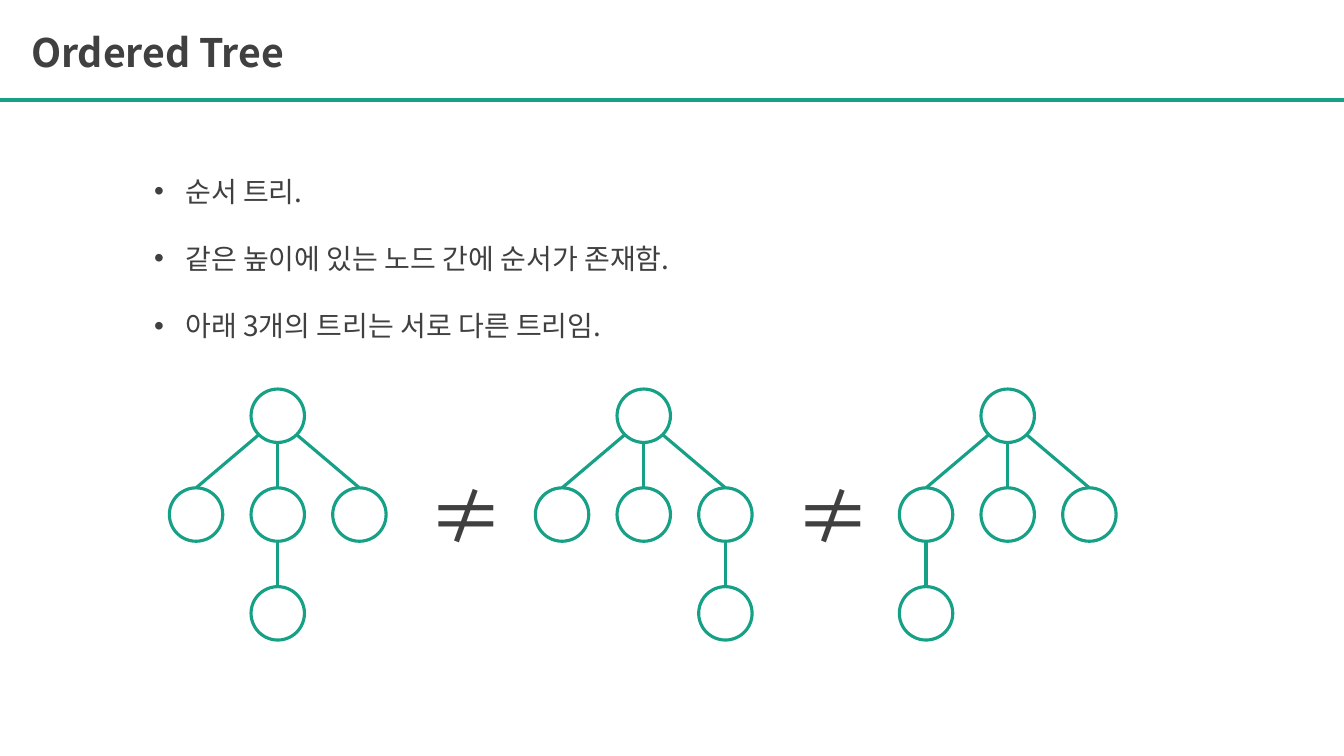
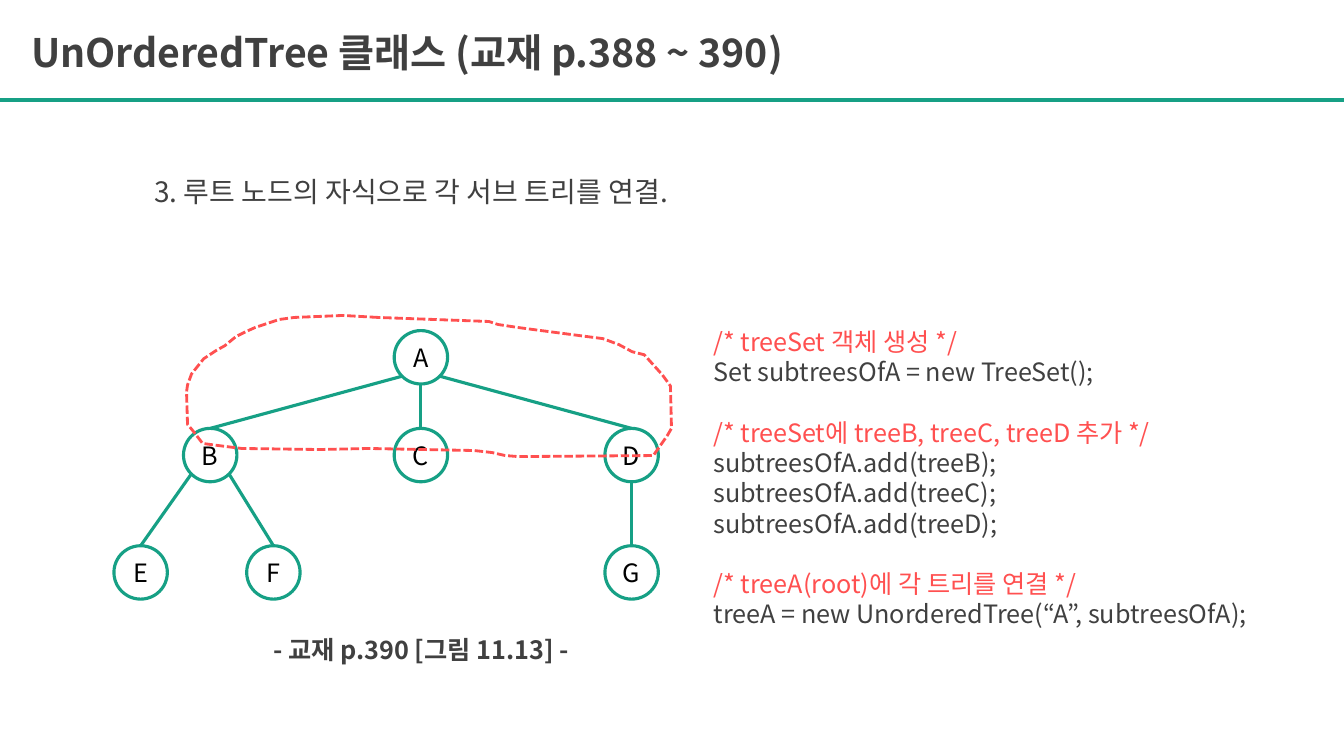
from lxml.etree import SubElement
from math import sqrt
from pptx import Presentation
from pptx.dml.color import RGBColor
from pptx.enum.dml import MSO_LINE
from pptx.enum.shapes import MSO_CONNECTOR, MSO_SHAPE
from pptx.enum.text import MSO_ANCHOR, MSO_AUTO_SIZE, PP_ALIGN
from pptx.oxml.ns import qn
from pptx.util import Inches, Pt

# Shared style
GREEN = RGBColor(0x16, 0xA0, 0x85)
GRAY = RGBColor(0x40, 0x40, 0x40)
RED = RGBColor(0xFF, 0x50, 0x50)
BLACK = RGBColor(0, 0, 0)
FONT = "Noto Sans CJK KR"
WIDE, HIGH = 13.33, 7.5
NODE = 0.53
LEAD = 1.2  # line pitch as a share of the text size

# Outline around the root and its children, in hundredths of an inch
LOOP = [
    (190, 2), (155, 0), (107, 2), (92, 4), (68, 12), (59, 16), (49, 21),
    (38, 30), (29, 35), (17, 43), (5, 58), (1, 69), (0, 76), (1, 108),
    (6, 114), (16, 127), (31, 129), (55, 132), (132, 133), (181, 132),
    (285, 134), (303, 136), (316, 139), (329, 140), (463, 139), (477, 119),
    (481, 112), (480, 70), (472, 59), (454, 39), (442, 36), (429, 29),
    (413, 23), (390, 20), (344, 14), (329, 12), (309, 9), (300, 6),
]


def style(para, size, color=GRAY, bold=False, align=PP_ALIGN.LEFT):
    para.alignment = align
    para.line_spacing = Pt(size * LEAD)
    para.space_before = para.space_after = Pt(0)
    for run in para.runs:
        font = run.font
        font.size, font.bold, font.name = Pt(size), bold, FONT
        font.color.rgb = color
        SubElement(run.font._element, qn("a:ea")).set("typeface", FONT)


def write(slide, box, lines, size, **look):
    """Add a text box with one paragraph for each line."""
    frame = slide.shapes.add_textbox(*map(Inches, box)).text_frame
    frame.word_wrap = True
    frame.text = "\n".join(lines)
    for para in frame.paragraphs:
        style(para, size, **look)
    return frame.paragraphs


def bullet(para):
    props = para._p.get_or_add_pPr()
    props.set("marL", str(Inches(0.31)))
    props.set("indent", str(-Inches(0.31)))
    SubElement(props, qn("a:buFont")).set("typeface", "Arial")
    SubElement(props, qn("a:buChar")).set("char", "•")


def rule(slide, start, end, width):
    line = slide.shapes.add_connector(
        MSO_CONNECTOR.STRAIGHT, *map(Inches, start + end))
    line.line.color.rgb = GREEN
    line.line.width = Pt(width)
    SubElement(line._element.spPr, qn("a:effectLst"))
    return line


def page(deck, title):
    """Add a slide with its title and the line below it."""
    slide = deck.slides.add_slide(deck.slide_layouts[5])
    head = slide.shapes.title
    head.left, head.top, head.width, head.height = map(
        Inches, (0.21, 0.23, 10.15, 0.57))
    frame = head.text_frame
    frame.text = title
    frame.word_wrap = True
    frame.auto_size = MSO_AUTO_SIZE.NONE
    frame.vertical_anchor = MSO_ANCHOR.TOP
    style(frame.paragraphs[0], 28, bold=True)
    rule(slide, (0, 0.99), (WIDE, 0.99), 3)
    return slide


def node(slide, left, top, label):
    dot = slide.shapes.add_shape(
        MSO_SHAPE.OVAL, *map(Inches, (left, top, NODE, NODE)))
    dot.shadow.inherit = False
    dot.fill.background()
    dot.line.color.rgb = GREEN
    dot.line.width = Pt(2.25)
    if label:
        frame = dot.text_frame
        frame.margin_left = frame.margin_right = 0
        frame.margin_top = frame.margin_bottom = 0
        frame.word_wrap = False
        frame.vertical_anchor = MSO_ANCHOR.MIDDLE
        frame.text = label
        style(frame.paragraphs[0], 18, BLACK, align=PP_ALIGN.CENTER)
    return dot


def tree(slide, left, top, col, row, spots, edges, named=False):
    """Place nodes on a grid from (left, top) and join child to parent."""
    half = NODE / 2
    dots = {}
    for name, (across, down) in spots.items():
        dots[name] = node(slide, left + across * col, top + down * row,
                          name if named else "")
    for up, low in edges:
        (px, py), (cx, cy) = spots[up], spots[low]
        side = (cx > px) - (cx < px)
        drop = half / sqrt(2) if side else half
        start = (left + cx * col + half, top + cy * row)
        end = (left + px * col + half + side * drop, top + py * row + half + drop)
        rule(slide, start, end, 2.25).begin_connect(dots[low], 0)


def loop(slide, left, top):
    path = slide.shapes.build_freeform(*LOOP[0], scale=Inches(0.01))
    path.add_line_segments(LOOP[1:], close=True)
    ring = path.convert_to_shape(Inches(left), Inches(top))
    ring.shadow.inherit = False
    ring.fill.background()
    ring.line.color.rgb = RED
    ring.line.width = Pt(2)
    ring.line.dash_style = MSO_LINE.SQUARE_DOT


def code(slide, box, lines):
    """Comments are red and, after the first, set off by one line."""
    for i, para in enumerate(write(slide, box, lines, 18)):
        if para.text.startswith("/*"):
            para.runs[0].font.color.rgb = RED
            para.space_before = Pt(18 * LEAD if i else 0)


def ordered(deck):
    slide = page(deck, "Ordered Tree")
    lines = ["순서 트리.", "같은 높이에 있는 노드 간에 순서가 존재함.",
             "아래 3개의 트리는 서로 다른 트리임."]
    for i, para in enumerate(write(slide, (1.43, 1.68, 11.42, 1.78), lines, 20)):
        bullet(para)
        para.space_before = Pt(20 * LEAD if i else 0)
    # Three trees, each with its leaf under another child
    for left, leaf in ((1.68, 1), (5.31, 2), (8.92, 0)):
        spots = {"root": (1, 0), 0: (0, 1), 1: (1, 1), 2: (2, 1),
                 "leaf": (leaf, 2)}
        edges = [("root", i) for i in range(3)] + [(leaf, "leaf")]
        tree(slide, left, 3.86, 0.81, 0.98, spots, edges)
    for left in (4.15, 7.79):
        write(slide, (left, 4.6, 0.86, 1.01), ["≠"], 54, align=PP_ALIGN.CENTER)


def linked(deck):
    slide = page(deck, "UnOrderedTree 클래스 (교재 p.388 ~ 390)")
    write(slide, (1.43, 1.68, 11.42, 0.44),
          ["3. 루트 노드의 자식으로 각 서브 트리를 연결."], 20)
    write(slide, (2.45, 6.24, 3.45, 0.4), ["- 교재 p.390 [그림 11.13] -"], 18,
          bold=True, align=PP_ALIGN.CENTER)
    spots = {"A": (1, 0), "B": (0, 1), "C": (1, 1), "D": (2, 1),
             "E": (-0.33, 2.2), "F": (0.3, 2.2), "G": (2, 2.2)}
    tree(slide, 1.82, 3.28, 2.09, 0.97, spots,
         ["AB", "AC", "AD", "BE", "BF", "DG"], named=True)
    loop(slide, 1.85, 3.13)
    code(slide, (6.98, 3.19, 6.01, 3.13), [
        "/* treeSet 객체 생성 */",
        "Set subtreesOfA = new TreeSet();",
        "/* treeSet에 treeB, treeC, treeD 추가 */",
        "subtreesOfA.add(treeB);",
        "subtreesOfA.add(treeC);",
        "subtreesOfA.add(treeD);",
        "/* treeA(root)에 각 트리를 연결 */",
        "treeA = new UnorderedTree(“A”, subtreesOfA);",
    ])


def main():
    deck = Presentation()
    deck.slide_width, deck.slide_height = Inches(WIDE), Inches(HIGH)
    ordered(deck)
    linked(deck)
    deck.save("out.pptx")


if __name__ == "__main__":
    main()
